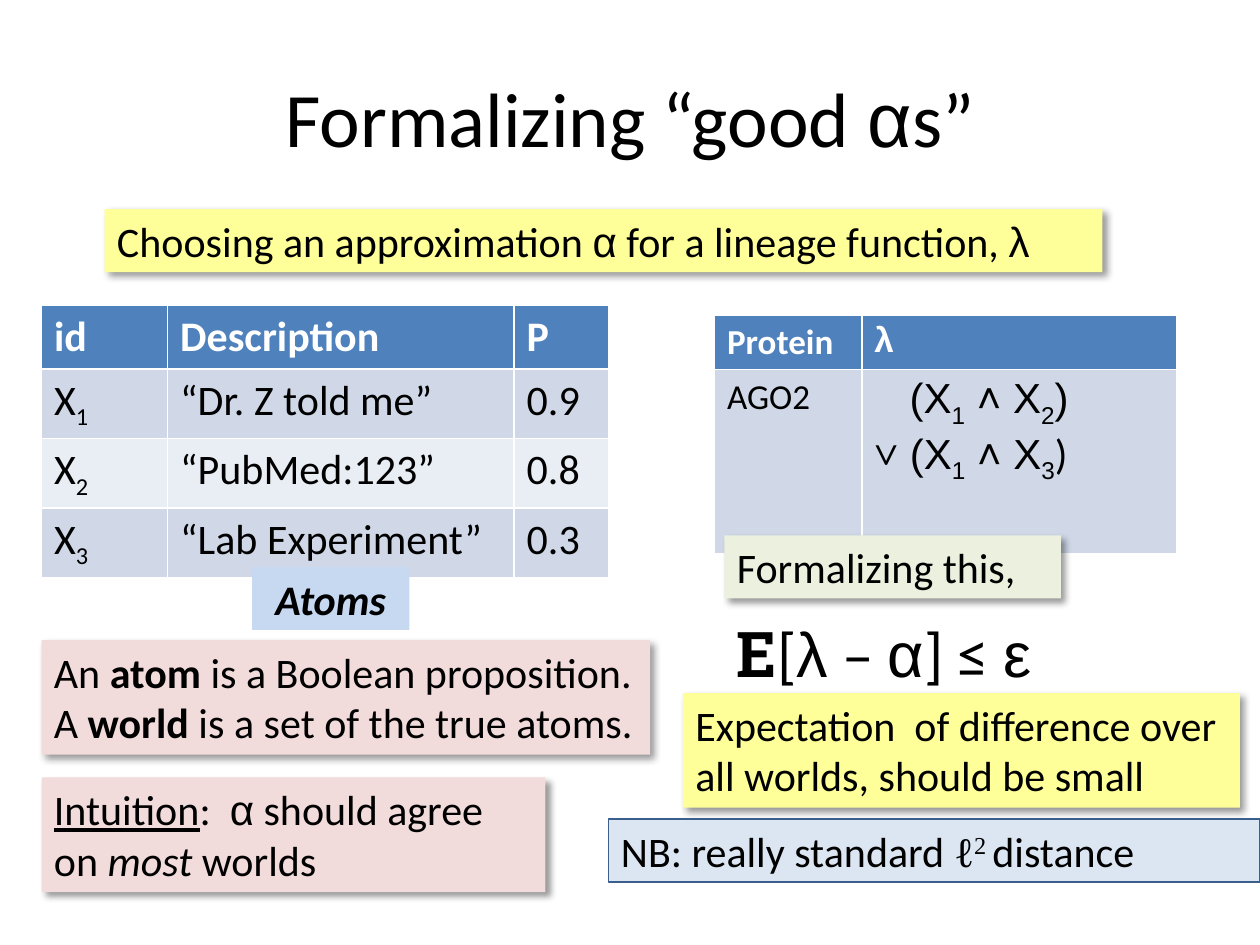
"""Build the slide on choosing a good approximation for a lineage function."""
from lxml.etree import SubElement
from pptx import Presentation
from pptx.dml.color import RGBColor
from pptx.enum.shapes import MSO_SHAPE as Shape
from pptx.enum.text import MSO_ANCHOR as Anchor, MSO_AUTO_SIZE as AutoSize, PP_ALIGN as Align
from pptx.oxml.ns import qn
from pptx.util import Inches, Pt

PX = Inches(1) // 100
COLORS = {
    "text": "000000", "white": "FFFFFF", "header": "4F81BD",
    "band_dark": "D0D8E8", "band_light": "E9EDF4", "label": "C6D9F1",
    "yellow": "FFFF99", "pink": "F2DCDB", "green": "EBF1DE",
    "note": "DCE6F2", "note_line": "3A5F8C", "shadow": "000000",
}
FONTS = {"arial": "Arial", "times": "Times New Roman", "slab": "Roboto Slab"}
BASELINES = {"sub": "-25000", "sup": "30000"}


def color(name):
    return RGBColor.from_string(COLORS[name])


def atom(number):
    return [("X", ""), (number, "sub")]


def clause(first, second, closing="arial"):
    return [("(X", "arial"), (first, "arial sub"), (" ˄ X", "arial"),
            (second, "arial sub"), (")", closing)]


class SlideBuilder:
    def __init__(self, presentation, size=24):
        self.slide = presentation.slides.add_slide(presentation.slide_layouts[5])
        self.size = size

    def add_runs(self, paragraph, content, size=None, ink="text", bold=False):
        runs = [(content, "")] if isinstance(content, str) else content
        for text, style in runs:
            flags = style.split()
            run = paragraph.add_run()
            run.text = text
            font = run.font
            font.size = Pt(size or self.size)
            font.name = next((FONTS[flag] for flag in flags if flag in FONTS), "Calibri")
            font.color.rgb = color(ink)
            font.bold = bold or "bold" in flags
            font.italic = "italic" in flags
            font.underline = "underline" in flags
            for flag in flags:
                if flag in BASELINES:
                    run._r.get_or_add_rPr().set("baseline", BASELINES[flag])

    def title(self, left, top, width, height, content):
        shape = self.slide.shapes.title
        shape.left, shape.top, shape.width, shape.height = (
            value * PX for value in (left, top, width, height))
        shape.text_frame.vertical_anchor = Anchor.MIDDLE
        paragraph = shape.text_frame.paragraphs[0]
        paragraph.alignment = Align.CENTER
        self.add_runs(paragraph, content, 44)

    def box(self, left, top, width, height, content, fill, line=None, shadow=True,
            align=Align.LEFT):
        shape = self.slide.shapes.add_shape(
            Shape.RECTANGLE, left * PX, top * PX, width * PX, height * PX)
        shape.fill.solid()
        shape.fill.fore_color.rgb = color(fill)
        if line:
            shape.line.color.rgb = color(line)
            shape.line.width = Pt(0.75)
        else:
            shape.line.fill.background()
        shape.shadow.inherit = False
        if shadow:
            self.cast_shadow(shape)
        frame = shape.text_frame
        frame.word_wrap = True
        frame.auto_size = AutoSize.SHAPE_TO_FIT_TEXT
        frame.vertical_anchor = Anchor.TOP
        frame.paragraphs[0].alignment = align
        self.add_runs(frame.paragraphs[0], content)

    def cast_shadow(self, shape):
        effects = shape._element.spPr.find(qn("a:effectLst"))
        outer = SubElement(effects, qn("a:outerShdw"), blurRad=str(Pt(4)),
                           dist=str(Pt(3)), dir="2700000", algn="tl", rotWithShape="0")
        tint = SubElement(outer, qn("a:srgbClr"), val=COLORS["shadow"])
        SubElement(tint, qn("a:alpha"), val="40000")

    def formula(self, left, top, width, height, content):
        shape = self.slide.shapes.add_textbox(left * PX, top * PX, width * PX, height * PX)
        shape.text_frame.word_wrap = False
        shape.text_frame.auto_size = AutoSize.SHAPE_TO_FIT_TEXT
        self.add_runs(shape.text_frame.paragraphs[0], content, 36)

    def table(self, left, top, widths, heights, rows, size=None):
        table = self.slide.shapes.add_table(
            len(rows), len(widths), left * PX, top * PX,
            sum(widths) * PX, sum(heights) * PX).table
        for column, width in zip(table.columns, widths):
            column.width = width * PX
        for index, (height, contents) in enumerate(zip(heights, rows)):
            table.rows[index].height = height * PX
            band = "band_dark" if index % 2 else "band_light"
            for column, content in enumerate(contents):
                cell = table.cell(index, column)
                cell.fill.solid()
                cell.fill.fore_color.rgb = color(band if index else "header")
                self.add_runs(cell.text_frame.paragraphs[0], content, size,
                              "text" if index else "white", bold=not index)
        return table


def main():
    presentation = Presentation()
    presentation.slide_width, presentation.slide_height = 1000 * PX, 750 * PX
    builder = SlideBuilder(presentation)

    builder.title(50, 30, 900, 125, [("Formalizing “good ", ""), ("α", "arial"), ("s”", "")])
    builder.table(33, 242, [100, 275, 75], [50, 55, 55, 55], [
        ["id", "Description", "P"],
        [atom("1"), "“Dr. Z told me”", "0.9"],
        [atom("2"), "“PubMed:123”", "0.8"],
        [atom("3"), "“Lab Experiment”", "0.3"],
    ])
    builder.box(200, 450, 125, 50, [("Atoms", "bold italic")], "label",
                shadow=False, align=Align.CENTER)
    builder.box(83, 166, 792, 50, [
        ("Choosing an approximation ", ""), ("α", "arial"),
        (" for a lineage function, ", ""), ("λ", "arial")], "yellow")

    lineage = builder.table(567, 250, [117, 250], [43, 146], [
        ["Protein", [("λ", "arial")]],
        ["AGO2", []],
    ], size=20)
    frame = lineage.cell(1, 1).text_frame
    first = frame.paragraphs[0]
    first._p.get_or_add_pPr().set("marL", str(28 * PX))
    builder.add_runs(first, clause("1", "2"))
    builder.add_runs(frame.add_paragraph(),
                     [("˅", "times bold"), (" ", "arial")] + clause("1", "3", closing=""))

    builder.box(33, 617, 400, 91, [
        ("Intuition", "underline"), (":  ", ""), ("α", "arial"),
        (" should agree on ", ""), ("most", "italic"), (" worlds", "")], "pink")
    builder.box(33, 508, 483, 91, [
        ("An ", ""), ("atom ", "bold"), ("is a Boolean proposition. A ", ""),
        ("world", "bold"), (" is a set of the true atoms.", "")], "pink")
    builder.box(575, 425, 267, 50, "Formalizing this,", "green")
    builder.formula(575, 483, 279, 71, [
        ("E", "slab bold"), ("[", ""), ("λ", "arial"), (" – ", ""),
        ("α", "arial"), ("] ≤ ", ""), ("ε", "arial")])
    builder.box(542, 550, 442, 91,
                "Expectation  of difference over all worlds, should be small", "yellow")
    builder.box(483, 650, 517, 50, [
        ("NB: really standard ", ""), ("ℓ", "times"), ("2 ", "times sup"),
        ("distance", "")], "note", line="note_line", shadow=False)

    presentation.save("out.pptx")


if __name__ == "__main__":
    main()
